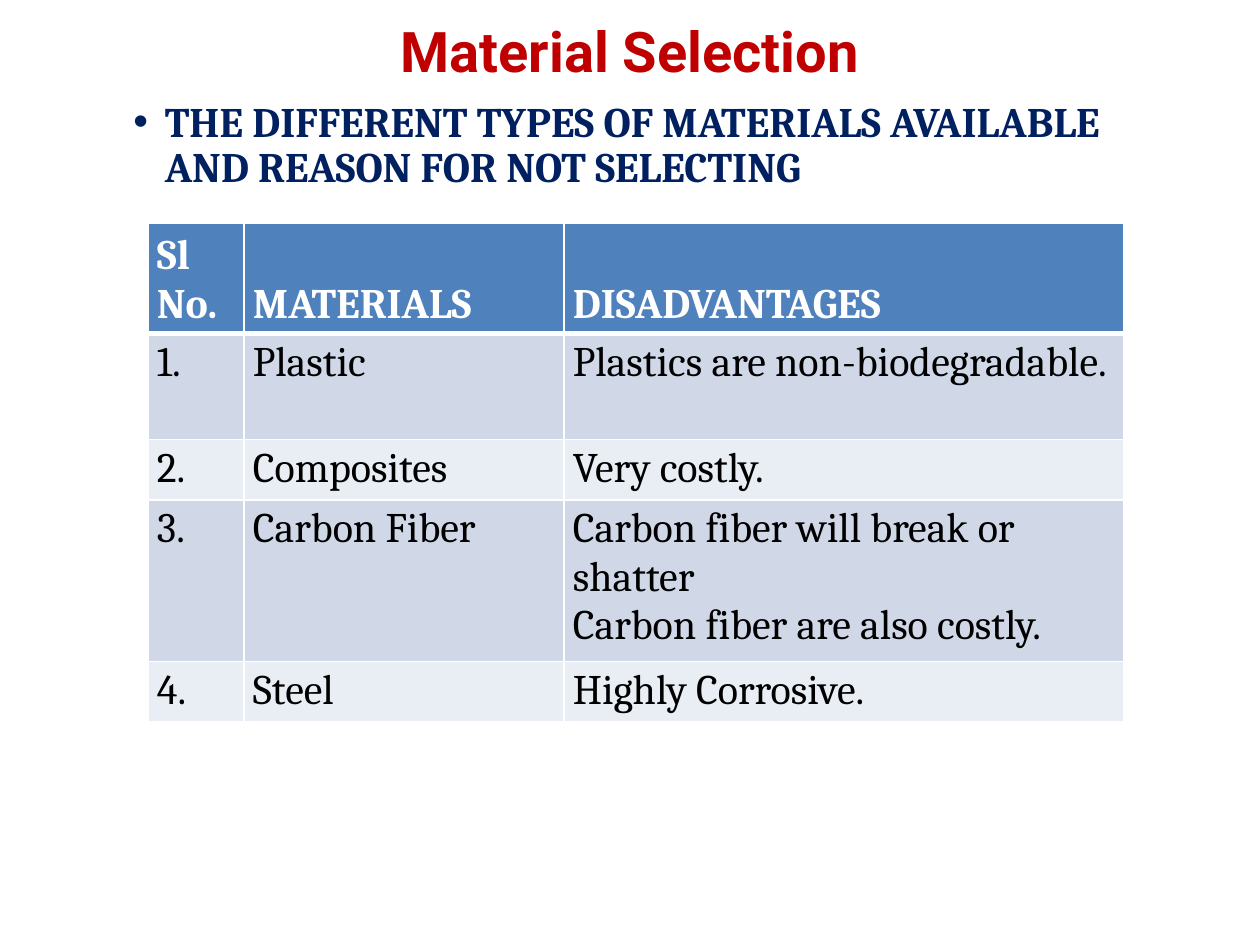
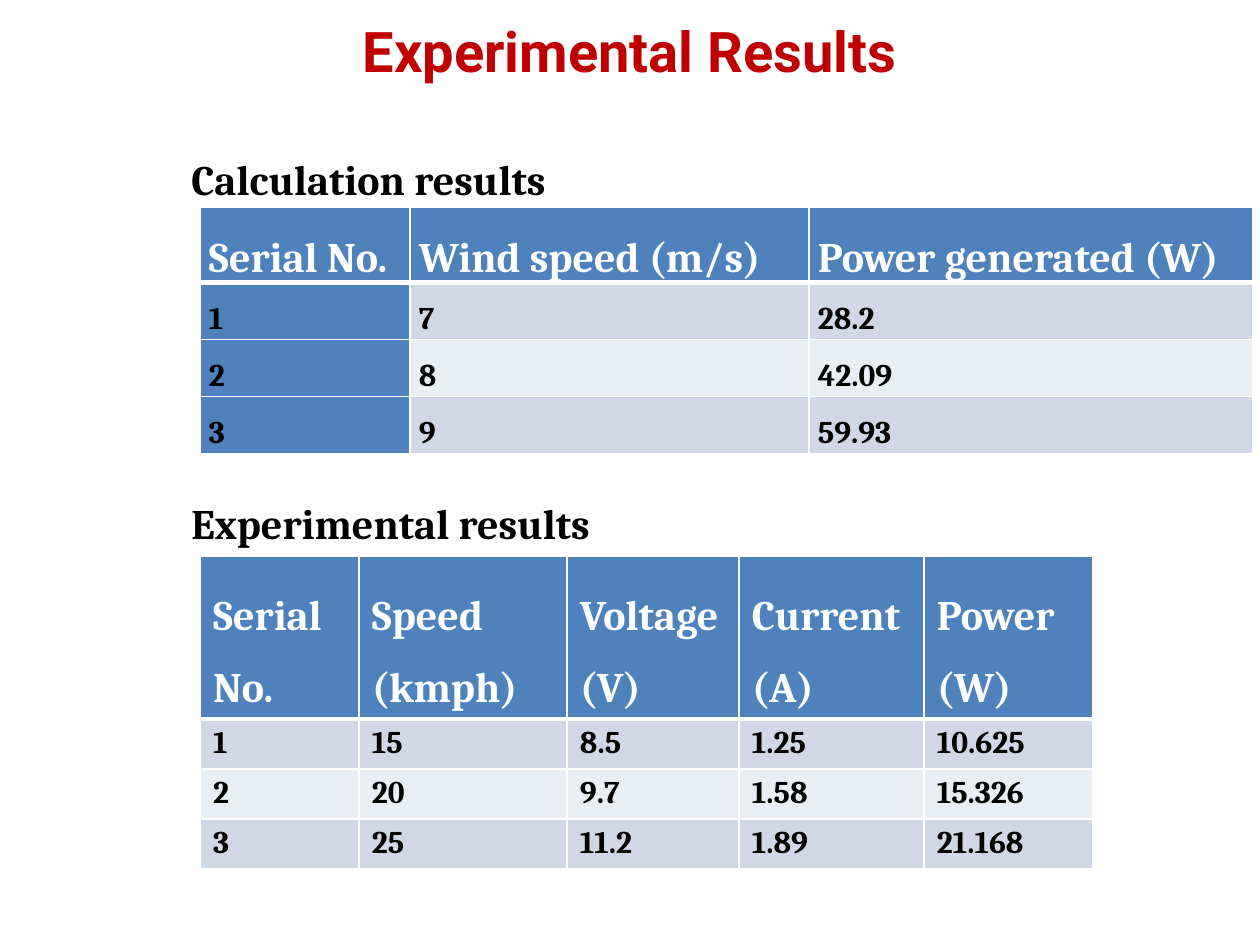
from dataclasses import dataclass

from lxml import etree
from pptx import Presentation
from pptx import util as u
from pptx.dml import color as col
from pptx.enum import text as tx
from pptx.oxml import ns


@dataclass(frozen=True)
class Theme:
    red: str = "C00000"
    navy: str = "002060"
    blue: str = "4F81BD"
    dark: str = "D0D8E8"
    light: str = "E9EDF4"
    white: str = "FFFFFF"
    black: str = "000000"
    head: str = "Roboto"
    body: str = "Cambria"
    title: int = 32
    large: int = 24
    small: int = 18


T = Theme()
PX = 914400 / 126


def px(*vals):
    return [u.Emu(round(v * PX)) for v in vals]


def style(para, size, tone, bold=True, face=T.body):
    for run in para.runs:
        run.font.name = face
        run.font.size = u.Pt(size)
        run.font.bold = bold
        run.font.color.rgb = col.RGBColor.from_string(tone)


deck = Presentation()
deck.slide_width, deck.slide_height = px(1260, 945)

# Slides and their titles
pages = []
for name in ("Material Selection", "Experimental Results"):
    page = deck.slides.add_slide(deck.slide_layouts[5])
    title = page.shapes.title
    title.left, title.top, title.width, title.height = px(0, 10, 1260, 81)
    frame = title.text_frame
    frame.text = name
    frame.auto_size = tx.MSO_AUTO_SIZE.NONE
    frame.vertical_anchor = tx.MSO_ANCHOR.TOP
    frame.paragraphs[0].alignment = tx.PP_ALIGN.CENTER
    style(frame.paragraphs[0], T.title, T.red, face=T.head)
    pages.append(page)
first, second = pages

# Lead line and table captions
notes = [
    (first, (121, 95, 1034, 98), T.navy,
     "THE DIFFERENT TYPES OF MATERIALS AVAILABLE AND REASON FOR NOT SELECTING"),
    (second, (179, 147, 433, 63), T.black, "Calculation results"),
    (second, (179, 491, 433, 63), T.black, "Experimental results"),
]
for page, area, tone, words in notes:
    frame = page.shapes.add_textbox(*px(*area)).text_frame
    frame.word_wrap = True
    frame.text = words
    para = frame.paragraphs[0]
    if page is first:
        props = para._p.get_or_add_pPr()
        props.set("marL", "228600")
        props.set("indent", "-228600")
        etree.SubElement(props, ns.qn("a:buFont")).set("typeface", "Arial")
        etree.SubElement(props, ns.qn("a:buChar")).set("char", "•")
        para.line_spacing = 0.9
    style(para, T.large, tone)

# Table data: place, columns, rows, cell insets, text and type
tables = [
    dict(page=first, at=(148, 223), cols=(96, 320, 560), rows=(105, 106, 58, 154, 58),
         pad=(9, 5), size=T.large, bold=False, lead=(1, 1), side=False, data=[
             ("Sl No.", "MATERIALS", "DISADVANTAGES"),
             ("1.", "Plastic", "Plastics are non-biodegradable."),
             ("2.", "Composites", "Very costly."),
             ("3.", "Carbon Fiber",
              "Carbon fiber will break or shatter\nCarbon fiber are also costly."),
             ("4.", "Steel", "Highly Corrosive.")]),
    dict(page=second, at=(200, 207), cols=(210, 399, 444), rows=(75, 57, 57, 57),
         pad=(9, 0), size=T.small, bold=True, lead=(1.5, 1.5), side=True, data=[
             ("Serial No.", "Wind speed (m/s)", "Power generated (W)"),
             ("1", "7", "28.2"),
             ("2", "8", "42.09"),
             ("3", "9", "59.93")]),
    dict(page=second, at=(200, 556), cols=(159, 208, 172, 185, 169), rows=(163, 50, 50, 50),
         pad=(13, 6), size=T.small, bold=True, lead=(1.5, 1), side=False, data=[
             ("Serial No.", "Speed (kmph)", "Voltage (V)", "Current (A)", "Power (W)"),
             ("1", "15", "8.5", "1.25", "10.625"),
             ("2", "20", "9.7", "1.58", "15.326"),
             ("3", "25", "11.2", "1.89", "21.168")]),
]

# Draw the tables
for tab in tables:
    cols, rows = tab["cols"], tab["rows"]
    area = px(*tab["at"], sum(cols), sum(rows))
    grid = tab["page"].shapes.add_table(len(rows), len(cols), *area).table
    for part, size in zip(grid.columns, px(*cols)):
        part.width = size
    for part, size in zip(grid.rows, px(*rows)):
        part.height = size
    for r, line in enumerate(tab["data"]):
        top = r == 0
        for c, words in enumerate(line):
            cell = grid.cell(r, c)
            cell.text = words
            across, down = px(*tab["pad"])
            cell.margin_left = cell.margin_right = across
            cell.margin_top = cell.margin_bottom = down
            cell.vertical_anchor = tx.MSO_ANCHOR.BOTTOM if top else tx.MSO_ANCHOR.TOP

            # White borders, heavier under the header row
            props = cell._tc.get_or_add_tcPr()
            for edge in ("lnL", "lnR", "lnT", "lnB"):
                thick = (r, edge) in ((0, "lnB"), (1, "lnT"))
                rule = etree.SubElement(props, ns.qn("a:" + edge))
                rule.set("w", str(u.Pt(3 if thick else 1)))
                fill = etree.SubElement(rule, ns.qn("a:solidFill"))
                etree.SubElement(fill, ns.qn("a:srgbClr")).set("val", T.white)

            # Banded fill with a blue header and, where set, a blue first column
            blue = top or (tab["side"] and c == 0)
            tone = T.blue if blue else T.dark if r % 2 else T.light
            cell.fill.solid()
            cell.fill.fore_color.rgb = col.RGBColor.from_string(tone)
            for para in cell.text_frame.paragraphs:
                para.line_spacing = float(tab["lead"][0 if top else 1])
                if top:
                    style(para, T.large, T.white)
                else:
                    style(para, tab["size"], T.black, tab["bold"])

deck.save("out.pptx")
